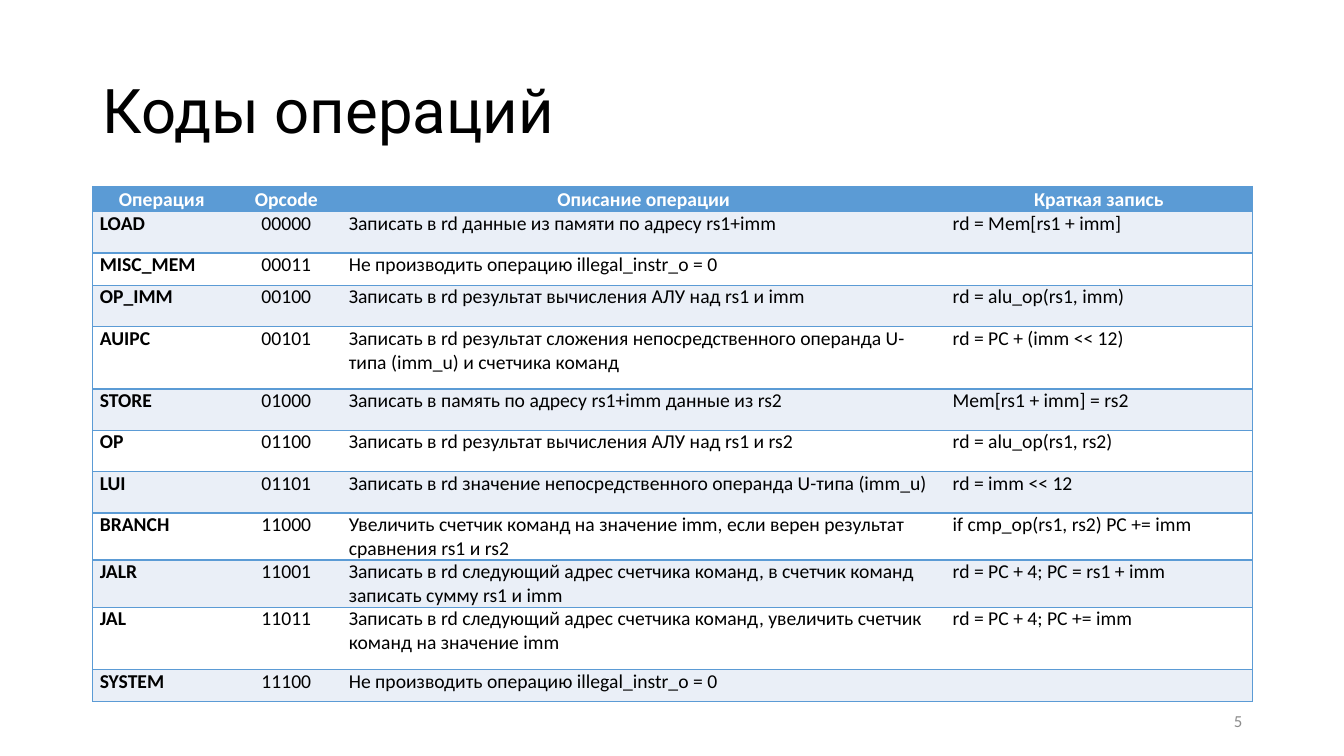
from lxml.etree import SubElement
from pptx import Presentation
from pptx.dml.color import RGBColor
from pptx.enum.text import MSO_ANCHOR, PP_ALIGN
from pptx.oxml.ns import qn
from pptx.util import Inches, Pt

BLACK = RGBColor(0x00, 0x00, 0x00)
WHITE = RGBColor(0xFF, 0xFF, 0xFF)
BLUE = RGBColor(0x5B, 0x9B, 0xD5)
PALE_BLUE = RGBColor(0xEA, 0xEF, 0xF7)
GRAY = RGBColor(0x8C, 0x8C, 0x8C)

HEADINGS = ("Операция", "Opcode", "Описание операции", "Краткая запись")
OPERATIONS = [
    (0.41, "LOAD", "00000", "Записать в rd данные из памяти по адресу rs1+imm", "rd = Mem[rs1 + imm]"),
    (0.32, "MISC_MEM", "00011", "Не производить операцию illegal_instr_o = 0", ""),
    (0.41, "OP_IMM", "00100", "Записать в rd результат вычисления АЛУ над rs1 и imm", "rd = alu_op(rs1, imm)"),
    (0.62, "AUIPC", "00101",
     "Записать в rd результат сложения непосредственного операнда U-типа (imm_u) и счетчика команд",
     "rd = PC + (imm << 12)"),
    (0.41, "STORE", "01000", "Записать в память по адресу rs1+imm данные из rs2", "Mem[rs1 + imm] = rs2"),
    (0.41, "OP", "01100", "Записать в rd результат вычисления АЛУ над rs1 и rs2", "rd = alu_op(rs1, rs2)"),
    (0.41, "LUI", "01101", "Записать в rd значение непосредственного операнда U-типа (imm_u)", "rd = imm << 12"),
    (0.41, "BRANCH", "11000",
     "Увеличить счетчик команд на значение imm, если верен результат сравнения rs1 и rs2",
     "if cmp_op(rs1, rs2) PC += imm"),
    (0.41, "JALR", "11001",
     "Записать в rd следующий адрес счетчика команд, в счетчик команд записать сумму rs1 и imm",
     "rd = PC + 4; PC = rs1 + imm"),
    (0.62, "JAL", "11011",
     "Записать в rd следующий адрес счетчика команд, увеличить счетчик команд на значение imm",
     "rd = PC + 4; PC += imm"),
    (0.32, "SYSTEM", "11100", "Не производить операцию illegal_instr_o = 0", ""),
]
COLUMN_WIDTHS = (1.37, 1.1, 5.99, 3.04)
HEADER_HEIGHT = 0.2


class OpcodeSlide:
    body_font = "Calibri"
    title_font = "Roboto"
    table_size = 14

    def __init__(self, deck):
        self.slide = deck.slides.add_slide(deck.slide_layouts[6])

    def style(self, paragraph, font_name, size, color, bold=False, align=PP_ALIGN.LEFT):
        paragraph.alignment = align
        font = paragraph.font
        font.name, font.size, font.bold = font_name, Pt(size), bold
        font.color.rgb = color

    def text(self, box, words, font_name, size, color, align=PP_ALIGN.LEFT, line_spacing=None):
        frame = self.slide.shapes.add_textbox(*map(Inches, box)).text_frame
        frame.word_wrap = True
        frame.vertical_anchor = MSO_ANCHOR.MIDDLE
        paragraph = frame.paragraphs[0]
        paragraph.text = words
        paragraph.line_spacing = line_spacing
        self.style(paragraph, font_name, size, color, align=align)

    def borders(self, cell, left, right):
        properties = cell._tc.get_or_add_tcPr()
        for side, visible in (("L", left), ("R", right), ("T", True), ("B", True)):
            line = SubElement(properties, qn(f"a:ln{side}"), w=str(Pt(1)))
            if visible:
                SubElement(SubElement(line, qn("a:solidFill")), qn("a:srgbClr"), val=str(BLUE))
            else:
                SubElement(line, qn("a:noFill"))

    def cell(self, cell, words, column, is_header, fill):
        cell.margin_left = cell.margin_right = Inches(0.07)
        cell.margin_top = cell.margin_bottom = 0
        self.borders(cell, column == 0, column == len(COLUMN_WIDTHS) - 1)
        cell.fill.solid()
        cell.fill.fore_color.rgb = fill
        paragraph = cell.text_frame.paragraphs[0]
        paragraph.text = words
        if is_header:
            paragraph.line_spacing = 1.07
            paragraph.space_after = Pt(8)
        centered = is_header or column == 1
        self.style(paragraph, self.body_font, self.table_size,
                   WHITE if is_header else BLACK,
                   bold=is_header or column == 0,
                   align=PP_ALIGN.CENTER if centered else PP_ALIGN.LEFT)

    def table(self, left, top, headings, operations):
        rows = [(HEADER_HEIGHT, *headings), *operations]
        width, height = sum(COLUMN_WIDTHS), sum(row[0] for row in rows)
        table = self.slide.shapes.add_table(
            len(rows), len(headings), Inches(left), Inches(top), Inches(width), Inches(height)
        ).table
        for column, column_width in zip(table.columns, COLUMN_WIDTHS):
            column.width = Inches(column_width)
        for row_index, (row_height, *entries) in enumerate(rows):
            table.rows[row_index].height = Inches(row_height)
            is_header = row_index == 0
            fill = BLUE if is_header else PALE_BLUE if row_index % 2 else WHITE
            for column, words in enumerate(entries):
                self.cell(table.cell(row_index, column), words, column, is_header, fill)


def main():
    deck = Presentation()
    deck.slide_width, deck.slide_height = Inches(13.33), Inches(7.5)
    page = OpcodeSlide(deck)
    page.text((9.42, 6.95, 3, 0.4), "5", page.body_font, 12, GRAY, align=PP_ALIGN.RIGHT)
    page.text((0.92, 0.4, 11.5, 1.45), "Коды операций", page.title_font, 44, BLACK, line_spacing=0.9)
    page.table(0.92, 1.85, HEADINGS, OPERATIONS)
    deck.save("out.pptx")


if __name__ == "__main__":
    main()
